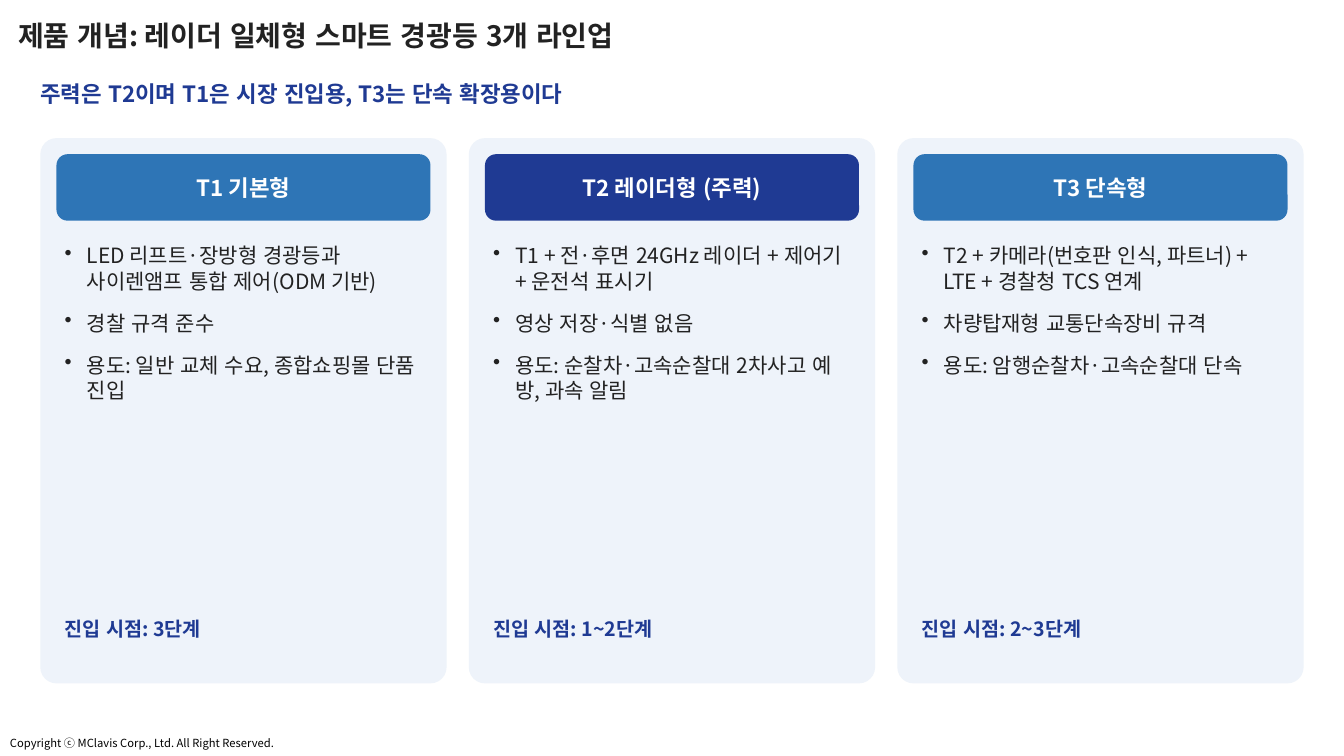
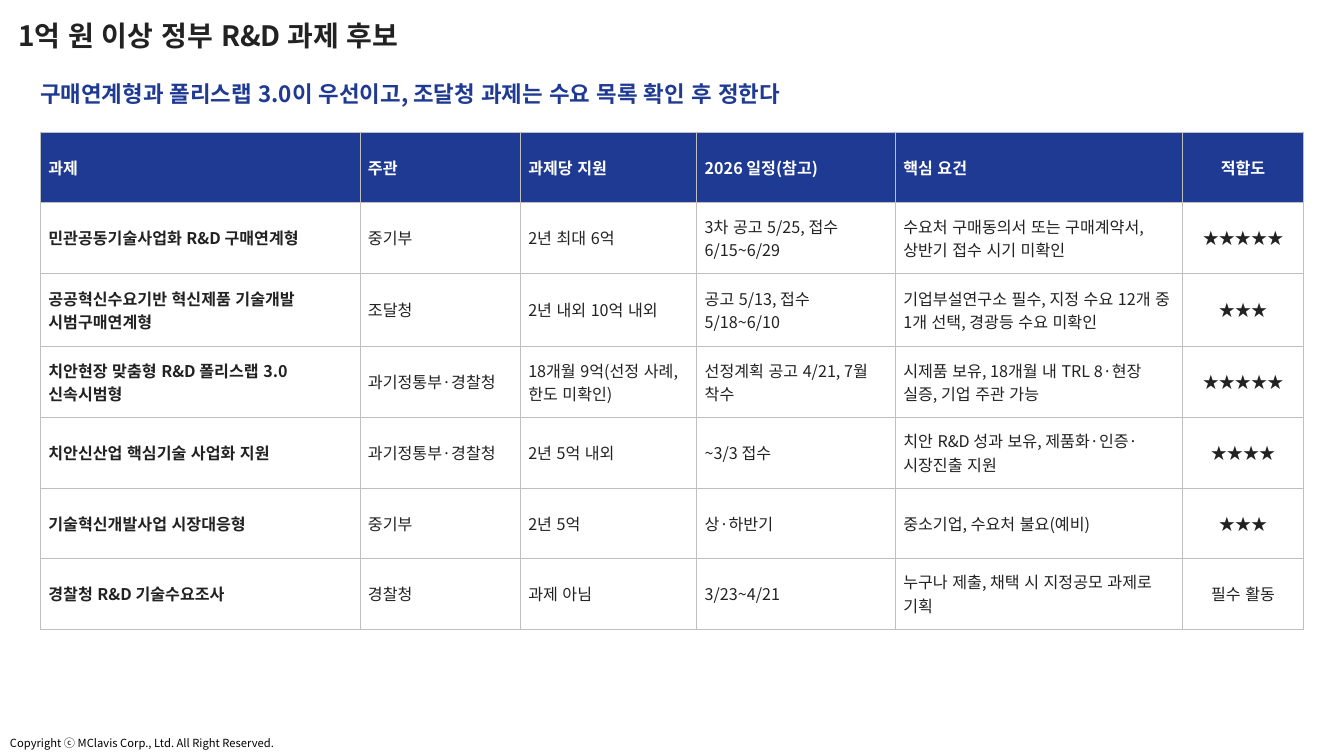
from dataclasses import dataclass

from lxml import etree
from pptx import Presentation
from pptx.dml.color import RGBColor
from pptx.enum.lang import MSO_LANGUAGE_ID
from pptx.enum.shapes import MSO_SHAPE
from pptx.enum.text import MSO_ANCHOR, PP_ALIGN
from pptx.oxml.ns import qn
from pptx.util import Inches, Pt

ROUNDED = MSO_SHAPE.ROUNDED_RECTANGLE
TOP, MIDDLE = MSO_ANCHOR.TOP, MSO_ANCHOR.MIDDLE
LEFT, CENTER = PP_ALIGN.LEFT, PP_ALIGN.CENTER
KOREAN = MSO_LANGUAGE_ID.KOREAN

FONT = "Noto Sans CJK KR"
NAVY = RGBColor(0x1F, 0x3A, 0x93)
BLUE = RGBColor(0x2E, 0x75, 0xB6)
PALE = RGBColor(0xEE, 0xF3, 0xFA)
INK = RGBColor(0x22, 0x22, 0x22)
WHITE = RGBColor(0xFF, 0xFF, 0xFF)
BLACK = RGBColor(0, 0, 0)
BORDER = "BFBFBF"

# Page grid, in inches
SLIDE_W, SLIDE_H = 13.33, 7.5
MARGIN = 0.4
CONTENT_W = SLIDE_W - 2 * MARGIN
CARD_TOP, CARD_H, CARD_GAP = 1.37, 5.41, 0.22
HEAD_PAD, TEXT_PAD = 0.16, 0.24
INDENT = 0.22
TABLE_TOP = 1.31
COL_WIDTHS = (3.17, 1.59, 1.75, 1.97, 2.85, 1.2)
ROW_HEIGHTS = (0.7, 0.7, 0.73, 0.7, 0.7, 0.7, 0.7)


@dataclass
class Card:
    name: str
    color: RGBColor
    points: tuple[str, ...]
    timing: str


CARDS = (
    Card("T1 기본형", BLUE,
         ("LED 리프트·장방형 경광등과 사이렌앰프 통합 제어(ODM 기반)",
          "경찰 규격 준수",
          "용도: 일반 교체 수요, 종합쇼핑몰 단품 진입"),
         "3단계"),
    Card("T2 레이더형 (주력)", NAVY,
         ("T1 + 전·후면 24GHz 레이더 + 제어기 + 운전석 표시기",
          "영상 저장·식별 없음",
          "용도: 순찰차·고속순찰대 2차사고 예방, 과속 알림"),
         "1~2단계"),
    Card("T3 단속형", BLUE,
         ("T2 + 카메라(번호판 인식, 파트너) + LTE + 경찰청 TCS 연계",
          "차량탑재형 교통단속장비 규격",
          "용도: 암행순찰차·고속순찰대 단속"),
         "2~3단계"),
)

PROGRAMS = (
    ("과제", "주관", "과제당 지원", "2026 일정(참고)", "핵심 요건", "적합도"),
    ("민관공동기술사업화 R&D 구매연계형", "중기부", "2년 최대 6억",
     "3차 공고 5/25, 접수 6/15~6/29",
     "수요처 구매동의서 또는 구매계약서, 상반기 접수 시기 미확인", "★★★★★"),
    ("공공혁신수요기반 혁신제품 기술개발 시범구매연계형", "조달청", "2년 내외 10억 내외",
     "공고 5/13, 접수 5/18~6/10",
     "기업부설연구소 필수, 지정 수요 12개 중 1개 선택, 경광등 수요 미확인", "★★★"),
    ("치안현장 맞춤형 R&D 폴리스랩 3.0 신속시범형", "과기정통부·경찰청",
     "18개월 9억(선정 사례, 한도 미확인)", "선정계획 공고 4/21, 7월 착수",
     "시제품 보유, 18개월 내 TRL 8·현장 실증, 기업 주관 가능", "★★★★★"),
    ("치안신산업 핵심기술 사업화 지원", "과기정통부·경찰청", "2년 5억 내외",
     "~3/3 접수", "치안 R&D 성과 보유, 제품화·인증·시장진출 지원", "★★★★"),
    ("기술혁신개발사업 시장대응형", "중기부", "2년 5억", "상·하반기",
     "중소기업, 수요처 불요(예비)", "★★★"),
    ("경찰청 R&D 기술수요조사", "경찰청", "과제 아님", "3/23~4/21",
     "누구나 제출, 채택 시 지정공모 과제로 기획", "필수 활동"),
)


def format_paragraph(p, size: float, color: RGBColor, bold: bool = False,
                     align=LEFT, after: float = 0) -> None:
    p.alignment = align
    p.space_after = Pt(after)
    for r in p.runs:
        f = r.font
        f.name, f.size, f.bold = FONT, Pt(size), bold
        f.color.rgb = color
        f.language_id = KOREAN
        east_asian = etree.SubElement(r._r.get_or_add_rPr(), qn("a:ea"))
        east_asian.set("typeface", FONT)


def add_bullet(p) -> None:
    pPr = p._p.get_or_add_pPr()
    pPr.set("marL", str(Inches(INDENT)))
    pPr.set("indent", str(-Inches(INDENT)))
    etree.SubElement(pPr, qn("a:buChar")).set("char", "•")


def set_insets(frame, x: float, y: float) -> None:
    frame.margin_left = frame.margin_right = Inches(x)
    frame.margin_top = frame.margin_bottom = Inches(y)


def add_text(s, box: tuple[float, ...], lines: tuple[str, ...], size: float,
             color: RGBColor, bold: bool = False, after: float = 4,
             anchor=TOP, bullets: bool = False) -> None:
    tf = s.shapes.add_textbox(*map(Inches, box)).text_frame
    tf.word_wrap = True
    tf.vertical_anchor = anchor
    set_insets(tf, 0, 0)
    tf.text = "\n".join(lines)
    for p in tf.paragraphs:
        format_paragraph(p, size, color, bold, after=after)
        if bullets:
            add_bullet(p)


def add_panel(s, box: tuple[float, ...], color: RGBColor):
    sp = s.shapes.add_shape(ROUNDED, *map(Inches, box))
    sp.shadow.inherit = False
    sp.fill.solid()
    sp.fill.fore_color.rgb = color
    sp.line.fill.background()
    return sp


def add_slide(prs, title: str, message: str):
    s = prs.slides.add_slide(prs.slide_layouts.get_by_name("Title Only"))
    sp = s.shapes.title
    sp.left, sp.top, sp.width, sp.height = map(Inches, (0.08, 0.18, 11.5, 0.39))
    tf = sp.text_frame
    tf.vertical_anchor = MIDDLE
    tf.text = title
    p = tf.paragraphs[0]
    p.line_spacing = 0.9
    format_paragraph(p, 20, INK, True)
    add_text(s, (MARGIN, 0.7, CONTENT_W, 0.46), (message,), 16, NAVY, True,
             anchor=MIDDLE)
    return s


def add_footer(s) -> None:
    """Place the copyright line on the layout that all slides share."""
    sp = s.shapes.add_textbox(*map(Inches, (0, 7.26, 2.83, 0.24)))
    tf = sp.text_frame
    tf.word_wrap = False
    tf.text = "Copyright ⓒ MClavis Corp., Ltd. All Right Reserved."
    format_paragraph(tf.paragraphs[0], 8, BLACK)
    s.slide_layout.shapes.element.append(sp.element)


def add_card(s, card: Card, x: float, width: float) -> None:
    panel = add_panel(s, (x, CARD_TOP, width, CARD_H), PALE)
    panel.adjustments[0] = 0.04
    # Coloured heading
    head = add_panel(s, (x + HEAD_PAD, CARD_TOP + HEAD_PAD,
                         width - 2 * HEAD_PAD, 0.66), card.color)
    tf = head.text_frame
    tf.vertical_anchor = MIDDLE
    set_insets(tf, 0.08, 0.03)
    tf.text = card.name
    format_paragraph(tf.paragraphs[0], 16, WHITE, True, CENTER)
    # Features and entry timing
    text_x, text_w = x + TEXT_PAD, width - 2 * TEXT_PAD
    add_text(s, (text_x, 2.41, text_w, 3.61), card.points, 15, INK,
             after=12, bullets=True)
    add_text(s, (text_x, 6.12, text_w, 0.49), (f"진입 시점: {card.timing}",),
             14, NAVY, True)


def set_borders(cell) -> None:
    tcPr = cell._tc.get_or_add_tcPr()
    for side in ("a:lnL", "a:lnR", "a:lnT", "a:lnB"):
        ln = etree.SubElement(tcPr, qn(side), w=str(Pt(0.5)))
        fill = etree.SubElement(ln, qn("a:solidFill"))
        etree.SubElement(fill, qn("a:srgbClr"), val=BORDER)


def add_program_table(s) -> None:
    box = (MARGIN, TABLE_TOP, CONTENT_W, sum(ROW_HEIGHTS))
    table = s.shapes.add_table(len(ROW_HEIGHTS), len(COL_WIDTHS),
                               *map(Inches, box)).table
    for column, width in zip(table.columns, COL_WIDTHS):
        column.width = Inches(width)
    for row, height in zip(table.rows, ROW_HEIGHTS):
        row.height = Inches(height)
    last = len(COL_WIDTHS) - 1
    for i, texts in enumerate(PROGRAMS):
        for j, text in enumerate(texts):
            cell = table.cell(i, j)
            set_borders(cell)
            cell.fill.solid()
            cell.fill.fore_color.rgb = WHITE if i else NAVY
            cell.vertical_anchor = MIDDLE
            set_insets(cell, 0.08, 0.04)
            cell.text = text
            format_paragraph(cell.text_frame.paragraphs[0], 11.5,
                             INK if i else WHITE, i == 0 or j == 0,
                             CENTER if j == last else LEFT)


def main() -> None:
    prs = Presentation()
    prs.slide_width, prs.slide_height = Inches(SLIDE_W), Inches(SLIDE_H)

    # Product line-up
    s = add_slide(prs, "제품 개념: 레이더 일체형 스마트 경광등 3개 라인업",
                  "주력은 T2이며 T1은 시장 진입용, T3는 단속 확장용이다")
    add_footer(s)
    card_w = (CONTENT_W - CARD_GAP * (len(CARDS) - 1)) / len(CARDS)
    for i, card in enumerate(CARDS):
        add_card(s, card, MARGIN + i * (card_w + CARD_GAP), card_w)

    # Candidate programmes
    s = add_slide(prs, "1억 원 이상 정부 R&D 과제 후보",
                  "구매연계형과 폴리스랩 3.0이 우선이고, 조달청 과제는 수요 목록 확인 후 정한다")
    add_program_table(s)

    prs.save("out.pptx")


if __name__ == "__main__":
    main()
